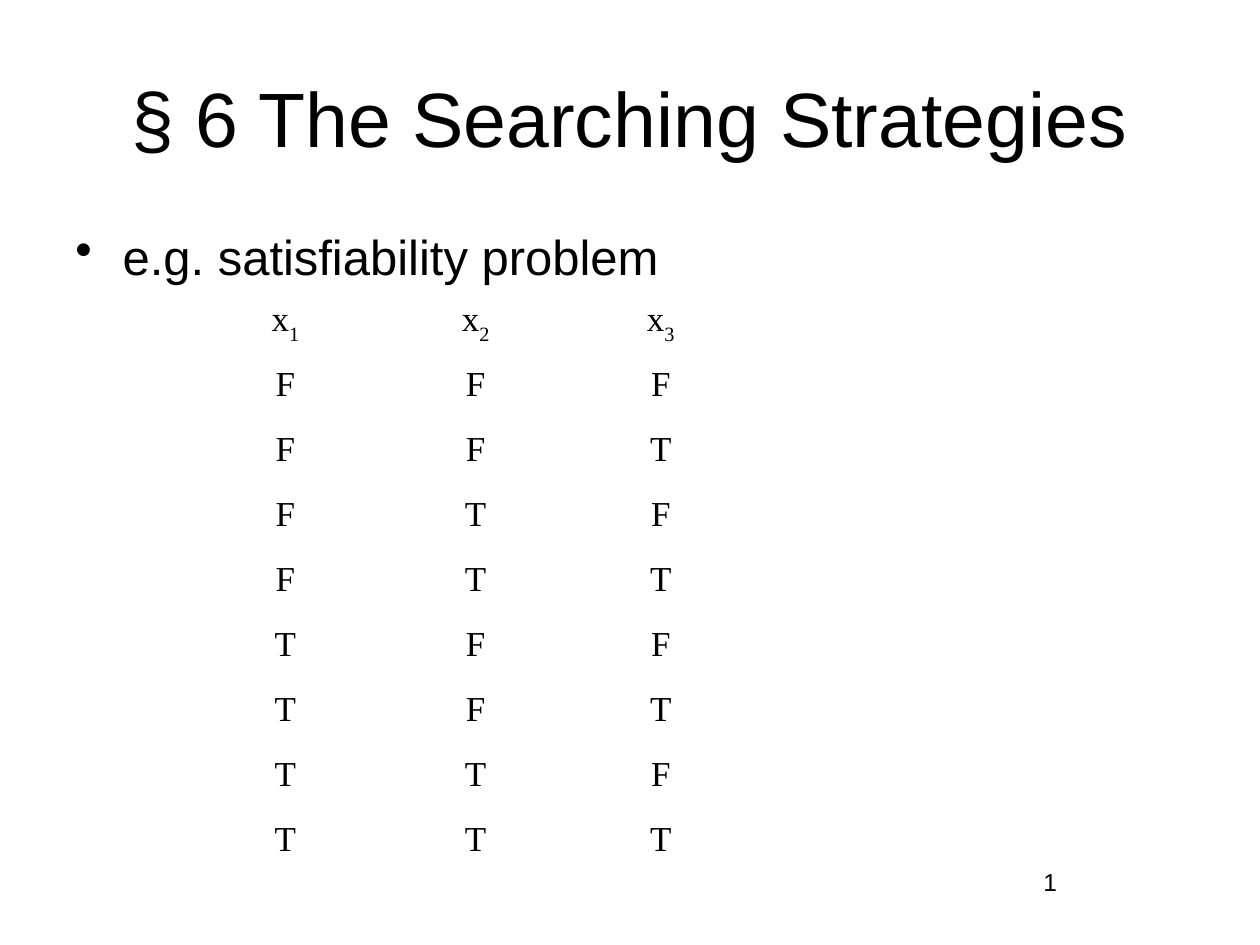
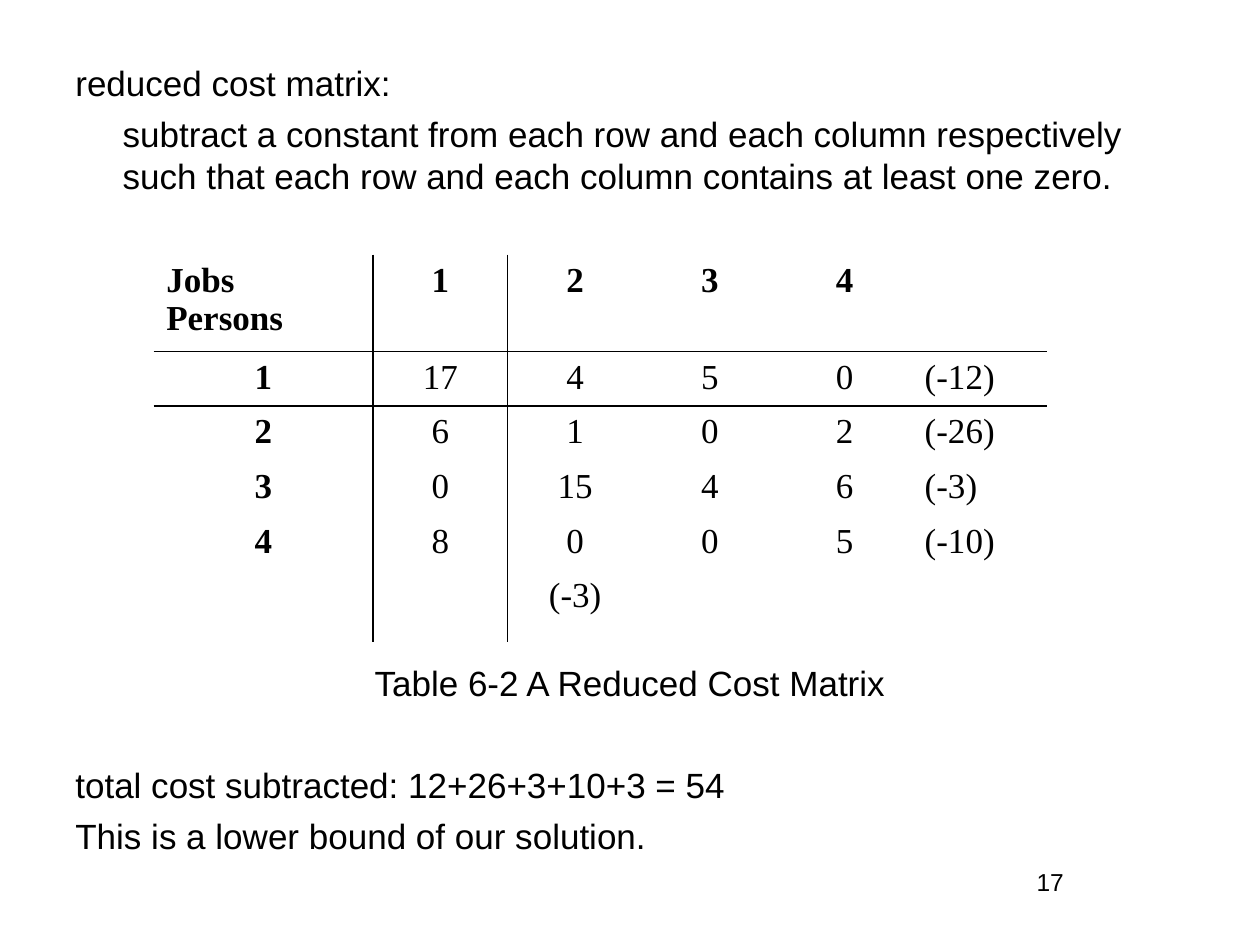
from dataclasses import dataclass
from itertools import product

from lxml import etree
from pptx import Presentation
from pptx.dml.color import RGBColor
from pptx.enum.text import MSO_ANCHOR, PP_ALIGN
from pptx.oxml.ns import qn
from pptx.util import Inches, Pt

LEFT, CENTER = PP_ALIGN.LEFT, PP_ALIGN.CENTER
TOP, MIDDLE = MSO_ANCHOR.TOP, MSO_ANCHOR.MIDDLE


@dataclass(frozen=True)
class Theme:
    ink: RGBColor = RGBColor(0, 0, 0)
    sans: str = "Arial"
    serif: str = "Times New Roman"
    title: int = 44
    bullet: int = 28
    body: int = 20
    footer: int = 14
    leading: float = 1.2
    gap: int = 5
    rule: float = 0.96
    plain_table: str = "{2D5ABB26-0587-4C30-8999-92F81FD0307C}"


theme = Theme()

deck = Presentation()
deck.slide_width, deck.slide_height = Inches(10), Inches(7.5)
COLUMN = deck.slide_width / 100
ROW = deck.slide_height / 75
HANGING = int(3.75 * COLUMN)
BODY_LEFT, BODY_WIDTH = 5, 90


def write(frame, text, size=theme.body, font=theme.sans, bold=False, align=LEFT,
          before=0, indent=0, bullet=None, subscript=None):
    """Fill the frame's empty first paragraph, or add a paragraph after the last."""
    para = frame.paragraphs[0]
    if para.runs:
        para = frame.add_paragraph()
    para.alignment = align
    para.space_before = Pt(before)
    if font == theme.sans:
        para.line_spacing = Pt(size * theme.leading)
    properties = para._p.get_or_add_pPr()
    properties.set("marL", str(indent))
    properties.set("indent", str(-indent if bullet else 0))
    if bullet:
        etree.SubElement(properties, qn("a:buChar")).set("char", bullet)
    for part in filter(None, (text, subscript)):
        span = para.add_run()
        span.text = part
        span.font.size, span.font.name, span.font.bold = Pt(size), font, bold
        span.font.color.rgb = theme.ink
        if part is subscript:
            span.font._element.set("baseline", "-30000")


def add_item(slide, left, top, widths, heights, anchor=TOP):
    """Add a text frame for one width and height, or a plain table for lists of them."""
    if not isinstance(widths, list):
        box = slide.shapes.add_textbox(*(int(n) for n in (
            left * COLUMN, top * ROW, widths * COLUMN, heights * ROW)))
        box.text_frame.word_wrap = True
        box.text_frame.vertical_anchor = anchor
        return box.text_frame
    table = slide.shapes.add_table(len(heights), len(widths), *(int(n) for n in (
        left * COLUMN, top * ROW, sum(widths) * COLUMN, sum(heights) * ROW))).table
    table.first_row = table.horz_banding = False
    table._tbl.tblPr.find(qn("a:tableStyleId")).text = theme.plain_table
    for column, width in zip(table.columns, widths):
        column.width = int(width * COLUMN)
    for row, height in zip(table.rows, heights):
        row.height = int(height * ROW)
    for cell in table.iter_cells():
        cell.fill.background()
    return table


blank = deck.slide_layouts[6]
search_slide, matrix_slide = (deck.slides.add_slide(blank) for _ in range(2))

# Searching strategies: every assignment of three variables
write(add_item(search_slide, BODY_LEFT, 3, BODY_WIDTH, 12.5, MIDDLE),
      "§ 6 The Searching Strategies", size=theme.title, align=CENTER)
write(add_item(search_slide, BODY_LEFT, 17.5, BODY_WIDTH, 49.5),
      "e.g. satisfiability problem", size=theme.bullet, indent=HANGING, bullet="•")

assignments = list(product("FT", repeat=3))
truth_table = add_item(search_slide, 15.3, 23.3, [14.7, 15.5, 13.9],
                       [5.16] * (len(assignments) + 1))
for column in range(3):
    write(truth_table.cell(0, column).text_frame, "x", font=theme.serif,
          align=CENTER, subscript=str(column + 1))
    for row, assignment in enumerate(assignments, 1):
        write(truth_table.cell(row, column).text_frame, assignment[column],
              font=theme.serif, align=CENTER)

# Reduced cost matrix: text leaves room for the table by whole lines
line_pitch = theme.body * theme.leading + theme.gap
body = add_item(matrix_slide, BODY_LEFT, 4.4, BODY_WIDTH, 64.6)
write(body, "reduced cost matrix:")
write(body, "subtract a constant from each row and each column respectively such that "
      "each row and each column contains at least one zero.",
      before=theme.gap, indent=HANGING)
write(body, "Table 6-2 A Reduced Cost Matrix", align=CENTER,
      before=theme.gap + 9 * line_pitch)
write(body, "total cost subtracted: 12+26+3+10+3 = 54", before=theme.gap + line_pitch)
write(body, "This is a lower bound of our solution.", before=theme.gap)

costs = [
    ["Jobs\nPersons", "1", "2", "3", "4", ""],
    ["1", "17", "4", "5", "0", "(-12)"],
    ["2", "6", "1", "0", "2", "(-26)"],
    ["3", "0", "15", "4", "6", "(-3)"],
    ["4", "8", "0", "0", "5", "(-10)"],
    ["", "", "(-3)", "", "", ""],
]
cost_table = add_item(matrix_slide, 12.2, 20.2, [17.4] + [10.7] * 5,
                      [7.7] + [4.32] * 4 + [5.7])
for row, values in enumerate(costs):
    for column, value in enumerate(values):
        cell = cost_table.cell(row, column)
        is_header = row == 0 or column == 0
        is_left = column == 5 or row == column == 0
        for line in filter(None, value.split("\n")):
            write(cell.text_frame, line, font=theme.serif, bold=is_header,
                  align=LEFT if is_left else CENTER)
        borders = {"a:lnL": column == 1, "a:lnR": column == 0,
                   "a:lnT": row == 1, "a:lnB": row == 0}
        sides = [side for side, drawn in borders.items() if drawn]
        for position, side in enumerate(sides):
            border = etree.Element(qn(side), w=str(Pt(theme.rule)))
            fill = etree.SubElement(border, qn("a:solidFill"))
            etree.SubElement(fill, qn("a:srgbClr"), val=str(theme.ink))
            cell._tc.get_or_add_tcPr().insert(position, border)

for slide, number in ((search_slide, "1"), (matrix_slide, "17")):
    write(add_item(slide, 71.7, 68.3, 23.3, 5.2), number,
          size=theme.footer, align=CENTER)

deck.save("out.pptx")
